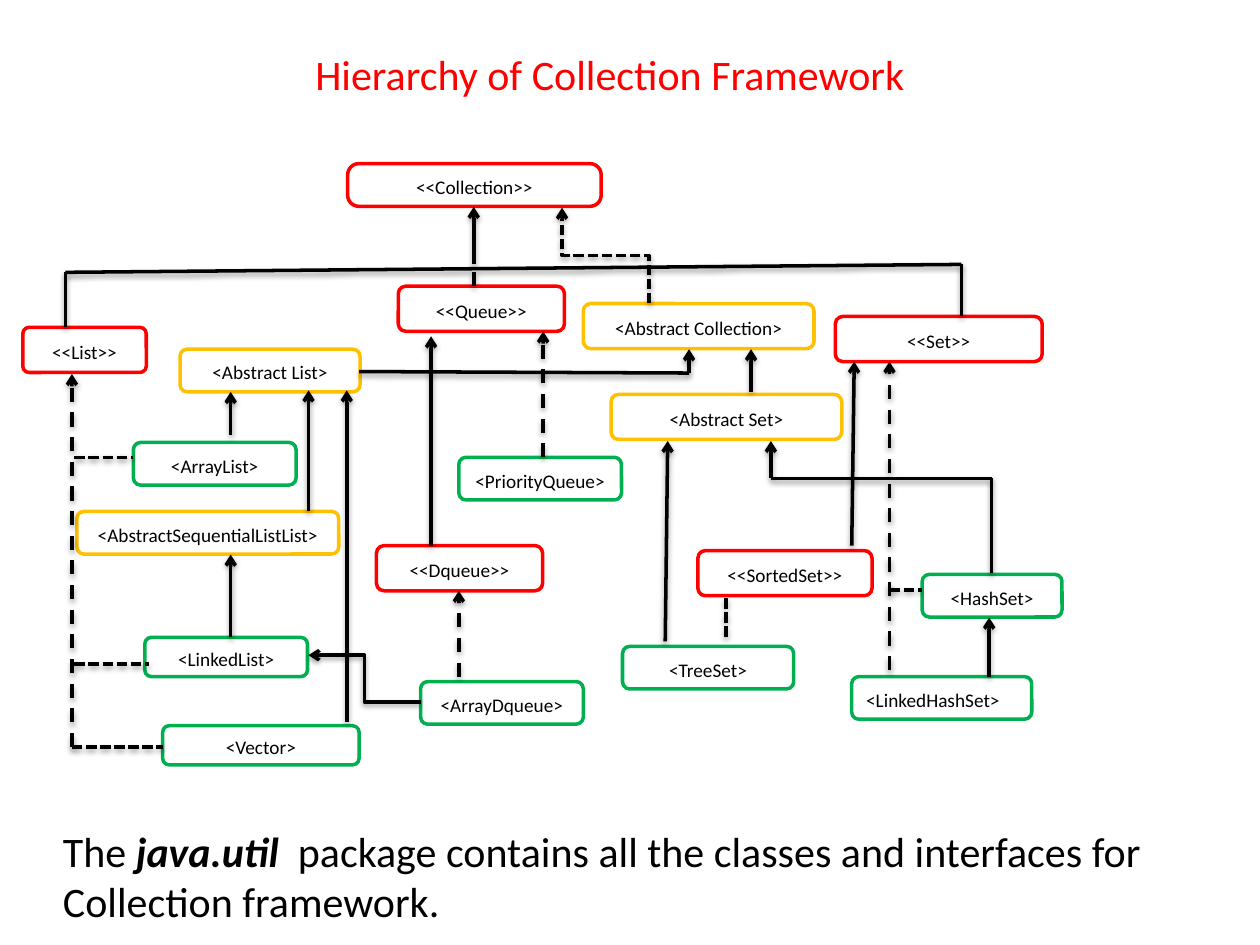
"""Build a slide showing the class hierarchy of the collection framework (layout grid in inches)."""
from lxml.etree import SubElement
from pptx import Presentation
from pptx.dml.color import RGBColor
from pptx.enum.dml import MSO_LINE
from pptx.enum.shapes import MSO_CONNECTOR, MSO_SHAPE
from pptx.enum.text import MSO_ANCHOR, MSO_AUTO_SIZE, PP_ALIGN
from pptx.oxml.ns import qn
from pptx.util import Cm, Pt

FONT = "Calibri"
COLORS = {"interface": "FF0000", "abstract": "FFC000", "class": "00B050",
          "text": "000000", "title": "FF0000", "box": "FFFFFF"}

BOXES = {
    "interface": [
        ("<<Collection>>", 2.76, 1.3, 2.01, 0.34),
        ("<<List>>", 0.18, 2.6, 0.98, 0.36),
        ("<<Queue>>", 3.16, 2.27, 1.32, 0.36),
        ("<<Set>>", 6.63, 2.51, 1.64, 0.36),
        ("<<Dqueue>>", 2.99, 4.33, 1.32, 0.36),
        ("<<SortedSet>>", 5.54, 4.37, 1.38, 0.36),
    ],
    "abstract": [
        ("<Abstract Collection>", 4.63, 2.41, 1.83, 0.36),
        ("<Abstract List>", 1.43, 2.77, 1.43, 0.34),
        ("<AbstractSequentialListList>", 0.61, 4.06, 2.08, 0.34),
        ("<Abstract Set>", 4.85, 3.13, 1.83, 0.36),
    ],
    "class": [
        ("<ArrayList>", 1.06, 3.51, 1.29, 0.34),
        ("<LinkedList>", 1.15, 5.06, 1.29, 0.31),
        ("<Vector>", 1.29, 5.76, 1.56, 0.31),
        ("<PriorityQueue>", 3.64, 3.63, 1.29, 0.34),
        ("<ArrayDqueue>", 3.34, 5.41, 1.29, 0.34),
        ("<HashSet>", 7.32, 4.56, 1.11, 0.34),
        ("<LinkedHashSet>", 6.76, 5.37, 1.43, 0.34),
        ("<TreeSet>", 4.94, 5.13, 1.36, 0.34),
    ],
}
ADJUST = {"<<Collection>>": 0.26, "<<List>>": 0.14}
LEFT_ALIGNED = {"<LinkedHashSet>"}

EXTENDS = [
    (3.76, 2.1, 3.76, 1.64), (3.42, 4.33, 3.42, 2.67), (6.76, 4.33, 6.78, 2.87),
    (5.47, 2.96, 5.47, 2.77), (1.83, 3.45, 1.83, 3.11), (2.75, 5.73, 2.75, 3.1),
    (2.45, 4.06, 2.45, 3.1), (1.83, 5.06, 1.83, 4.4), (5.96, 3.11, 5.96, 2.77),
    (6.12, 3.79, 6.12, 3.5), (7.85, 5.37, 7.85, 4.9), (5.28, 5.09, 5.3, 3.5),
]
IMPLEMENTS = [
    (0.57, 5.93, 0.57, 2.97), (4.31, 3.63, 4.31, 2.63),
    (3.64, 5.37, 3.64, 4.69), (7.06, 5.32, 7.06, 2.87),
]
JOINS = [
    (0.52, 2.16, 7.63, 2.1), (0.52, 2.6, 0.52, 2.16), (7.63, 2.1, 7.63, 2.51),
    (3.76, 2.16, 3.76, 2.27), (2.85, 2.95, 5.47, 2.96), (6.12, 3.8, 7.87, 3.8),
    (7.87, 3.79, 7.87, 4.55),
]
DASHED_JOINS = [
    (0.59, 3.63, 1.06, 3.63), (0.59, 5.27, 1.18, 5.27), (0.57, 5.93, 1.29, 5.93),
    (7.06, 4.68, 7.32, 4.68), (5.76, 4.75, 5.76, 5.06),
]
QUEUE_TO_LIST = (3.34, 5.57, 2.45, 5.2)
ABSTRACT_TO_ROOT = (5.15, 2.41, 4.46, 1.65)

TITLE = [("Hierarchy of Collection Framework", False)]
NOTE = [("The ", False), ("java.util  ", True),
        ("package contains all the classes and interfaces for Collection framework.", False)]


def grid(*inches):
    return [Cm(round(2.54 * v, 2)) for v in inches]


def rgb(name):
    return RGBColor.from_string(COLORS[name])


def add_run(p, text, size, color, strong=False):
    r = p.add_run()
    r.text = text
    r.font.name, r.font.size = FONT, Pt(size)
    r.font.bold = r.font.italic = strong
    r.font.color.rgb = rgb(color)


def add_box(shapes, kind, text, *at):
    sp = shapes.add_shape(MSO_SHAPE.ROUNDED_RECTANGLE, *grid(*at))
    sp.shadow.inherit = False
    if text in ADJUST:
        sp.adjustments[0] = ADJUST[text]
    sp.fill.solid()
    sp.fill.fore_color.rgb = rgb("box")
    sp.line.color.rgb = rgb(kind)
    sp.line.width = Pt(2)
    sp.text_frame.vertical_anchor = MSO_ANCHOR.MIDDLE
    p = sp.text_frame.paragraphs[0]
    p.alignment = PP_ALIGN.LEFT if text in LEFT_ALIGNED else PP_ALIGN.CENTER
    p.line_spacing, p.space_after = 1.15, Pt(10)
    add_run(p, text, 11, "text")


def add_line(shapes, ends, arrow=False, dash=None, kind=MSO_CONNECTOR.STRAIGHT):
    cxn = shapes.add_connector(kind, *grid(*ends))
    cxn.line.color.rgb = rgb("text")
    cxn.line.width = Pt(2)
    if dash:
        cxn.line.dash_style = dash
    props = cxn._element.spPr
    if arrow:
        SubElement(props.find(qn("a:ln")), qn("a:tailEnd"), type="arrow")
    shadow = SubElement(SubElement(props, qn("a:effectLst")), qn("a:outerShdw"),
                        blurRad="40000", dist="20000", dir="5400000", rotWithShape="0")
    color = SubElement(shadow, qn("a:srgbClr"), val=COLORS["text"])
    SubElement(color, qn("a:alpha"), val="38000")
    return cxn


def add_upward_elbow(shapes, ends, dash):
    x1, y1, x2, y2 = ends
    cx, cy = (x1 + x2) / 2, (y1 + y2) / 2
    dx, dy = (y1 - y2) / 2, (x1 - x2) / 2
    turned = (cx - dx, cy + dy, cx + dx, cy - dy)
    add_line(shapes, turned, True, dash, MSO_CONNECTOR.ELBOW).rotation = 270


def add_text(shapes, runs, at, color, align):
    tf = shapes.add_textbox(*grid(*at)).text_frame
    tf.word_wrap = True
    tf.auto_size = MSO_AUTO_SIZE.SHAPE_TO_FIT_TEXT
    p = tf.paragraphs[0]
    p.alignment = align
    for text, strong in runs:
        add_run(p, text, 24, color, strong)


def main():
    prs = Presentation()
    prs.slide_width, prs.slide_height = Cm(25.4), Cm(19.05)
    shapes = prs.slides.add_slide(prs.slide_layouts[6]).shapes

    for kind, boxes in BOXES.items():
        for text, *at in boxes:
            add_box(shapes, kind, text, *at)

    for lines, arrow, dash in [(EXTENDS, True, None), (IMPLEMENTS, True, MSO_LINE.DASH),
                               (JOINS, False, None), (DASHED_JOINS, False, MSO_LINE.SQUARE_DOT)]:
        for ends in lines:
            add_line(shapes, ends, arrow, dash)
    add_line(shapes, QUEUE_TO_LIST, True, kind=MSO_CONNECTOR.ELBOW)
    add_upward_elbow(shapes, ABSTRACT_TO_ROOT, MSO_LINE.SQUARE_DOT)

    add_text(shapes, TITLE, (2.05, 0.34, 5.58, 0.5), "title", PP_ALIGN.CENTER)
    add_text(shapes, NOTE, (0.4, 6.5, 8.91, 0.91), "text", PP_ALIGN.LEFT)
    prs.save("out.pptx")


if __name__ == "__main__":
    main()
